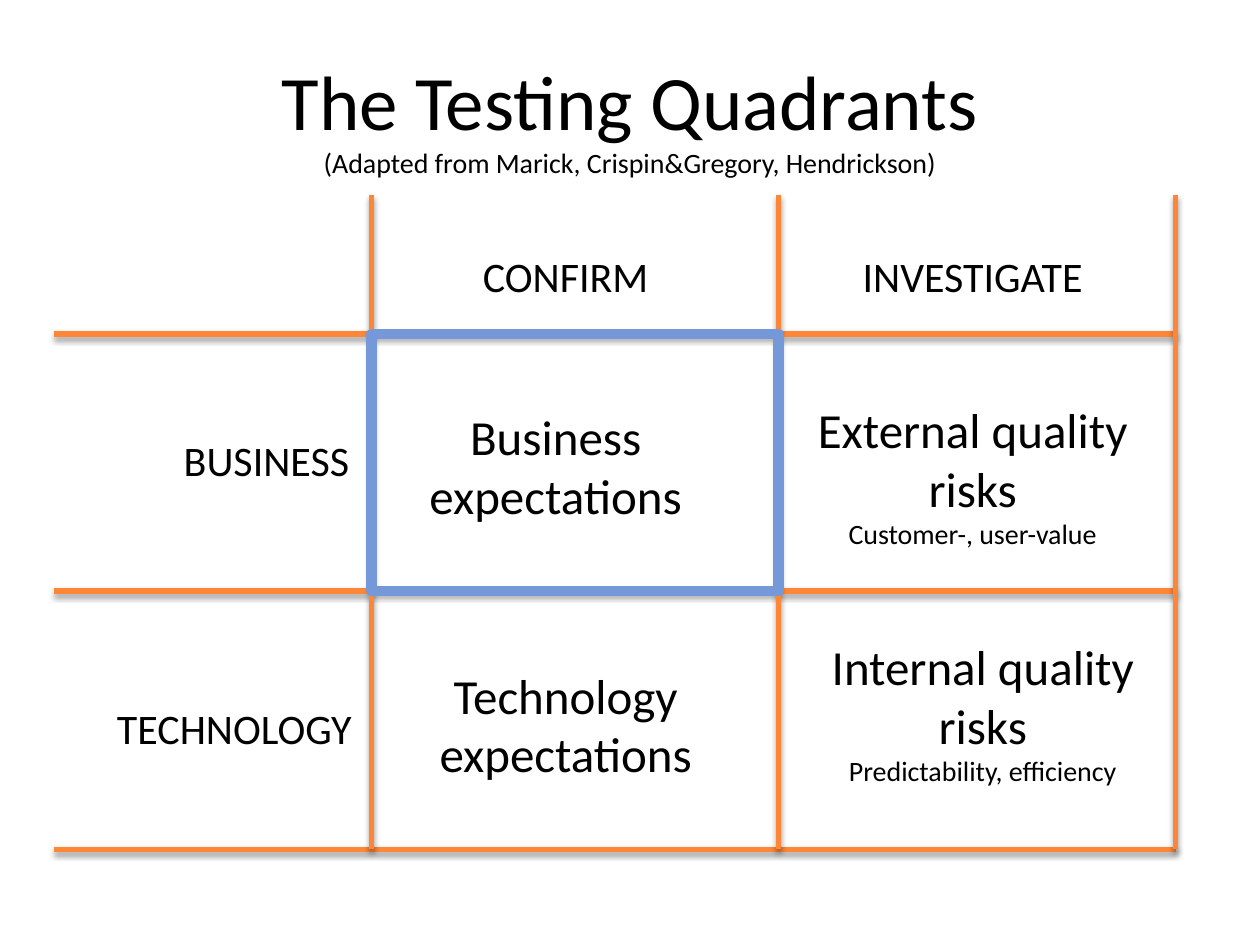
from lxml import etree
from pptx import Presentation
from pptx.dml.color import RGBColor
from pptx.enum.shapes import MSO_CONNECTOR, MSO_SHAPE
from pptx.enum.text import MSO_ANCHOR, MSO_AUTO_SIZE, PP_ALIGN
from pptx.oxml import parse_xml
from pptx.oxml.ns import nsdecls
from pptx.util import Inches, Pt

ORANGE, BLUE, BLACK = "FE8637", "7598D9", "000000"
COLUMNS = (2.95, 6.18, 9.33)
ROWS = (2.65, 4.69, 6.74)
LEFT, TOP = 0.43, 1.55
CELL_WIDTH = 2.76


def color(value):
    """Turn a hex string into a colour."""
    return RGBColor.from_string(value)


def style_run(r, size):
    """Format one run of text."""
    formats = {"name": "Calibri", "size": Pt(size)}
    for key, value in formats.items():
        setattr(r.font, key, value)
    r.font.color.rgb = color(BLACK)


def add_run(p, text, size):
    """Append a formatted run to a paragraph."""
    r = p.add_run()
    r.text = text
    style_run(r, size)


def add_title(s, text, credit):
    """Fill the title placeholder with a heading and a small second line."""
    title = s.shapes.title
    title.left, title.top = Inches(0.5), Inches(0.3)
    title.width, title.height = Inches(9), Inches(1.25)
    tf = title.text_frame
    tf.vertical_anchor = MSO_ANCHOR.MIDDLE
    p = tf.paragraphs[0]
    p.alignment = PP_ALIGN.CENTER
    add_run(p, text, 44)
    p.add_line_break()
    add_run(p, credit, 16)


def add_text(s, box, lines, align=PP_ALIGN.CENTER, wrap=True):
    """Add a text box with one paragraph per (text, size) pair."""
    tf = s.shapes.add_textbox(*map(Inches, box)).text_frame
    formats = {"word_wrap": wrap, "auto_size": MSO_AUTO_SIZE.SHAPE_TO_FIT_TEXT}
    for key, value in formats.items():
        setattr(tf, key, value)
    for i, (text, size) in enumerate(lines):
        p = tf.add_paragraph() if i else tf.paragraphs[0]
        p.alignment = align
        add_run(p, text, size)


def add_shadow(sp):
    """Give a line a soft shadow below it."""
    effects = parse_xml(f"<a:effectLst {nsdecls('a')}/>")
    shadow = etree.SubElement(
        effects, effects.tag.replace("effectLst", "outerShdw"),
        blurRad="40000", dist="23000", dir="5400000", rotWithShape="0")
    rgb = etree.SubElement(
        shadow, effects.tag.replace("effectLst", "srgbClr"), val=BLACK)
    etree.SubElement(
        rgb, effects.tag.replace("effectLst", "alpha"), val="35000")
    sp._element.spPr.append(effects)


def add_grid_line(s, *ends):
    """Draw one orange grid line between two points."""
    sp = s.shapes.add_connector(MSO_CONNECTOR.STRAIGHT, *map(Inches, ends))
    sp.line.color.rgb = color(ORANGE)
    sp.line.width = Pt(3)
    add_shadow(sp)


def add_highlight(s, left, top, right, bottom):
    """Frame one quadrant in blue."""
    box = (left, top, right - left, bottom - top)
    sp = s.shapes.add_shape(MSO_SHAPE.RECTANGLE, *map(Inches, box))
    sp.shadow.inherit = False
    sp.fill.background()
    sp.line.color.rgb = color(BLUE)
    sp.line.width = Pt(6)


def main():
    """Build the slide and save it."""
    prs = Presentation()
    prs.slide_width, prs.slide_height = Inches(10), Inches(7.5)
    s = prs.slides.add_slide(prs.slide_layouts[5])
    add_title(s, "The Testing Quadrants",
              "(Adapted from Marick, Crispin&Gregory, Hendrickson)")

    for left, text in ((3.11, "CONFIRM"), (6.34, "INVESTIGATE")):
        add_text(s, (left, 1.94, CELL_WIDTH, 0.5), [(text, 24)])
    for left, top, width, text in ((0.85, 3.4, 2.02, "BUSINESS"),
                                   (0.35, 5.53, 2.54, "TECHNOLOGY")):
        add_text(s, (left, top, width, 0.5), [(text, 24)],
                 PP_ALIGN.RIGHT, wrap=False)

    quadrants = (
        (3.03, 3.18, 1.04, [("Business expectations", 28)]),
        (3.11, 5.23, 1.04, [("Technology expectations", 28)]),
        (6.34, 3.12, 1.35, [("External quality risks", 28),
                            ("Customer-, user-value", 16)]),
        (6.42, 5, 1.58, [("Internal quality risks", 28),
                         ("Predictability, efficiency", 16)]),
    )
    for left, top, height, lines in quadrants:
        add_text(s, (left, top, CELL_WIDTH, height), lines)

    for y in ROWS:
        add_grid_line(s, LEFT, y, COLUMNS[-1], y)
    for x in COLUMNS:
        add_grid_line(s, x, TOP, x, ROWS[-1])
    add_highlight(s, COLUMNS[0], ROWS[0], COLUMNS[1], ROWS[1])
    prs.save("out.pptx")


if __name__ == "__main__":
    main()
